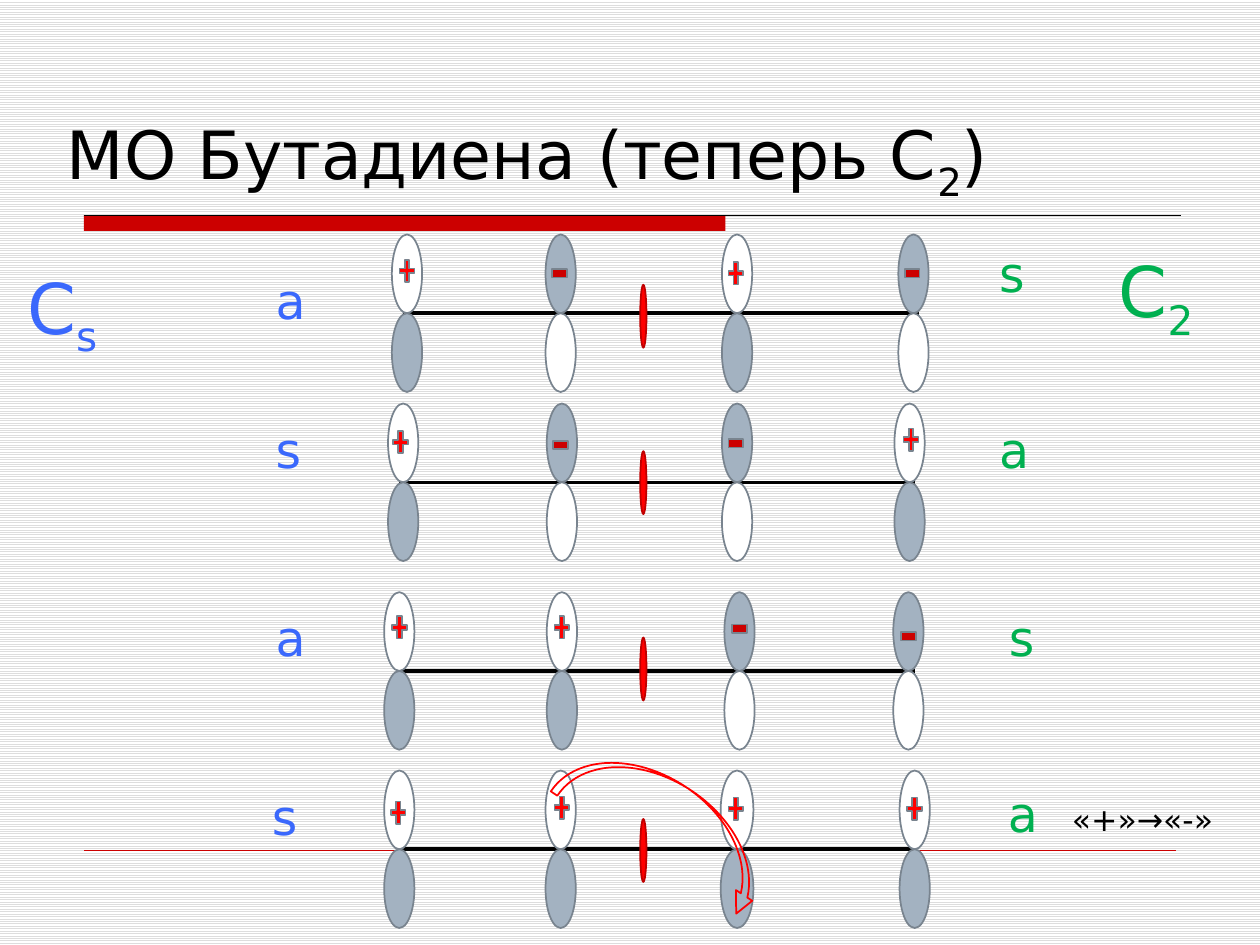
from dataclasses import dataclass

from lxml import etree
from pptx import Presentation
from pptx.dml import color
from pptx.enum import dml, shapes, text
from pptx.oxml import ns
from pptx.util import Pt


@dataclass(frozen=True)
class Theme:
    """Colours, typeface and type sizes."""
    black: str = "000000"
    white: str = "FFFFFF"
    stripe: str = "DDDDDD"
    bar: str = "CC0000"
    lobe: str = "A3B2C1"
    outline: str = "79848F"
    red: str = "FF0000"
    node_edge: str = "C00000"
    mirror: str = "3A68FC"
    axis: str = "00B050"
    face: str = "DejaVu Sans"
    title: int = 38
    group: int = 40
    label: int = 28
    note: int = 18


@dataclass(frozen=True)
class Orbital:
    """One p orbital: centre, sign on its upper lobe, and place of the sign."""
    x: float
    sign: str
    shift: float
    rise: float
    width: float = 17.3


@dataclass(frozen=True)
class Level:
    """One molecular orbital: bond, node mark, symmetry labels and orbitals."""
    y: float
    bond: float
    node: float
    left: tuple
    right: tuple
    orbitals: tuple


THEME = Theme()
LOBE_HEIGHT = 45
BOND_LENGTH = 294.5
LEVELS = (
    Level(179, 230.4, 162.7, ("a", 150.5, 151.2), ("s", 563.8, 135.4), (
        Orbital(232.6, "+", 0, 24.2), Orbital(320.4, "-", -0.7, 22.8),
        Orbital(421.2, "+", -0.7, 22.8), Orbital(522, "-", -0.7, 22.8))),
    Level(275.6, 228.2, 257.8, ("s", 150.5, 236.2), ("a", 563.8, 236.2), (
        Orbital(230.4, "+", -1.4, 22.9), Orbital(321.1, "-", -0.7, 21.4),
        Orbital(421.2, "-", -0.7, 22.2), Orbital(519.8, "+", 0.8, 24.3))),
    Level(383.4, 228.2, 364.3, ("a", 150.5, 343.4), ("s", 569.5, 343.4), (
        Orbital(228.2, "+", 0, 24.8), Orbital(321.1, "+", 0, 24.8),
        Orbital(422.6, "-", 0, 24.1), Orbital(519.1, "-", 0, 19.8))),
    Level(485.3, 228.2, 468, ("s", 148.3, 445.7), ("a", 568.8, 444.2), (
        Orbital(228.2, "+", -0.7, 20.9), Orbital(320.4, "+", 0.7, 23.8),
        Orbital(421.2, "+", -0.7, 23.1, 18.7), Orbital(522.7, "+", 0, 23.1))),
)


def rgb(value):
    """Turn a hex string into a colour."""
    return color.RGBColor.from_string(value)


def add_figure(page, kind, left, top, width, height, fill, line):
    """Add a preset shape, with fill or line left out when None."""
    figure = page.shapes.add_shape(kind, Pt(left), Pt(top), Pt(width), Pt(height))
    figure.shadow.inherit = False
    if fill:
        figure.fill.solid()
        figure.fill.fore_color.rgb = rgb(fill)
    else:
        figure.fill.background()
    if line:
        figure.line.color.rgb = rgb(line)
        figure.line.width = Pt(1)
    else:
        figure.line.fill.background()
    return figure


def add_rule(page, left, right, y, ink, weight):
    """Add a horizontal line without shadow."""
    rule = page.shapes.add_connector(
        shapes.MSO_CONNECTOR.STRAIGHT, Pt(left), Pt(y), Pt(right), Pt(y))
    rule.line.color.rgb = rgb(ink)
    rule.line.width = Pt(weight)
    etree.SubElement(rule._element.spPr, ns.qn("a:effectLst"))


def add_text(page, left, top, width, height, pieces, size, ink, wrap=True):
    """Add a one-paragraph text box; every second piece is a subscript."""
    box = page.shapes.add_textbox(Pt(left), Pt(top), Pt(width), Pt(height))
    box.text_frame.word_wrap = wrap
    para = box.text_frame.paragraphs[0]
    para.font.name = THEME.face
    para.font.size = Pt(size)
    para.font.color.rgb = rgb(ink)
    for index, piece in enumerate(pieces):
        span = para.add_run()
        span.text = piece
        if index % 2:
            span._r.get_or_add_rPr().set("baseline", "-25000")
    return box


def add_orbital(page, orbital, y):
    """Add two lobes that meet at y."""
    fills = (THEME.white, THEME.lobe)
    if orbital.sign == "-":
        fills = fills[::-1]
    for fill, top in zip(fills, (y - LOBE_HEIGHT, y)):
        add_figure(page, shapes.MSO_SHAPE.OVAL, orbital.x - orbital.width / 2, top,
                   orbital.width, LOBE_HEIGHT, fill, THEME.outline)


def add_sign(page, orbital, y):
    """Add the phase sign on the upper lobe."""
    if orbital.sign == "+":
        kind, height, fill = shapes.MSO_SHAPE.MATH_PLUS, 17.3, THEME.red
    else:
        kind, height, fill = shapes.MSO_SHAPE.MATH_MINUS, 20.2, THEME.bar
    width = 11.5
    add_figure(page, kind, orbital.x + orbital.shift - width / 2,
               y - orbital.rise - height / 2, width, height, fill, THEME.outline)


def add_level(page, level):
    """Add one molecular orbital with its labels."""
    add_rule(page, level.bond, level.bond + BOND_LENGTH, level.y, THEME.black, 2)
    for orbital in level.orbitals:
        add_orbital(page, orbital, level.y)
        add_sign(page, orbital, level.y)
    add_figure(page, shapes.MSO_SHAPE.OVAL, 365.8, level.node, 3.6, 36,
               THEME.red, THEME.node_edge)
    for (letter, left, top), ink in ((level.left, THEME.mirror), (level.right, THEME.axis)):
        add_text(page, left, top, 45.4, 41, [letter], THEME.label, ink)


def add_frame(page):
    """Add the striped background, title and rules."""
    fill = page.background.fill
    fill.patterned()
    fill.pattern = dml.MSO_PATTERN.LIGHT_HORIZONTAL
    fill.fore_color.rgb = rgb(THEME.stripe)
    fill.back_color.rgb = rgb(THEME.white)
    add_figure(page, shapes.MSO_SHAPE.RECTANGLE, 48, 123, 366.5, 9, THEME.bar, None)
    add_rule(page, 48, 674.6, 123, THEME.black, 0.75)
    add_rule(page, 48, 672, 486, THEME.bar, 0.25)
    title = add_text(page, 31, 54.7, 680.4, 65.5, ["МО Бутадиена (теперь С", "2", ")"],
                     THEME.title, THEME.black)
    title.text_frame.vertical_anchor = text.MSO_ANCHOR.BOTTOM


def add_turn(page):
    """Add the curved arrow of the rotation."""
    arrow = add_figure(page, shapes.MSO_SHAPE.CURVED_DOWN_ARROW, 316.1, 447.8,
                       132.5, 44.6, None, THEME.red)
    arrow.rotation = 33.4
    for index, value in enumerate((0.1, 0.25, 0.25)):
        arrow.adjustments[index] = value


def main():
    """Build the slide and save it."""
    deck = Presentation()
    deck.slide_width, deck.slide_height = Pt(720), Pt(540)
    page = deck.slides.add_slide(deck.slide_layouts[6])
    add_frame(page)
    for level in LEVELS:
        add_level(page, level)
    add_text(page, 8.6, 147.6, 79.2, 55.4, ["C", "s"], THEME.group, THEME.mirror)
    add_text(page, 632.2, 138.2, 59.8, 55.4, ["С", "2"], THEME.group, THEME.axis, False)
    add_turn(page)
    add_text(page, 605.5, 453.6, 105.8, 28.8, ["«+»→«-»"], THEME.note, THEME.black)
    deck.save("out.pptx")


if __name__ == "__main__":
    main()
